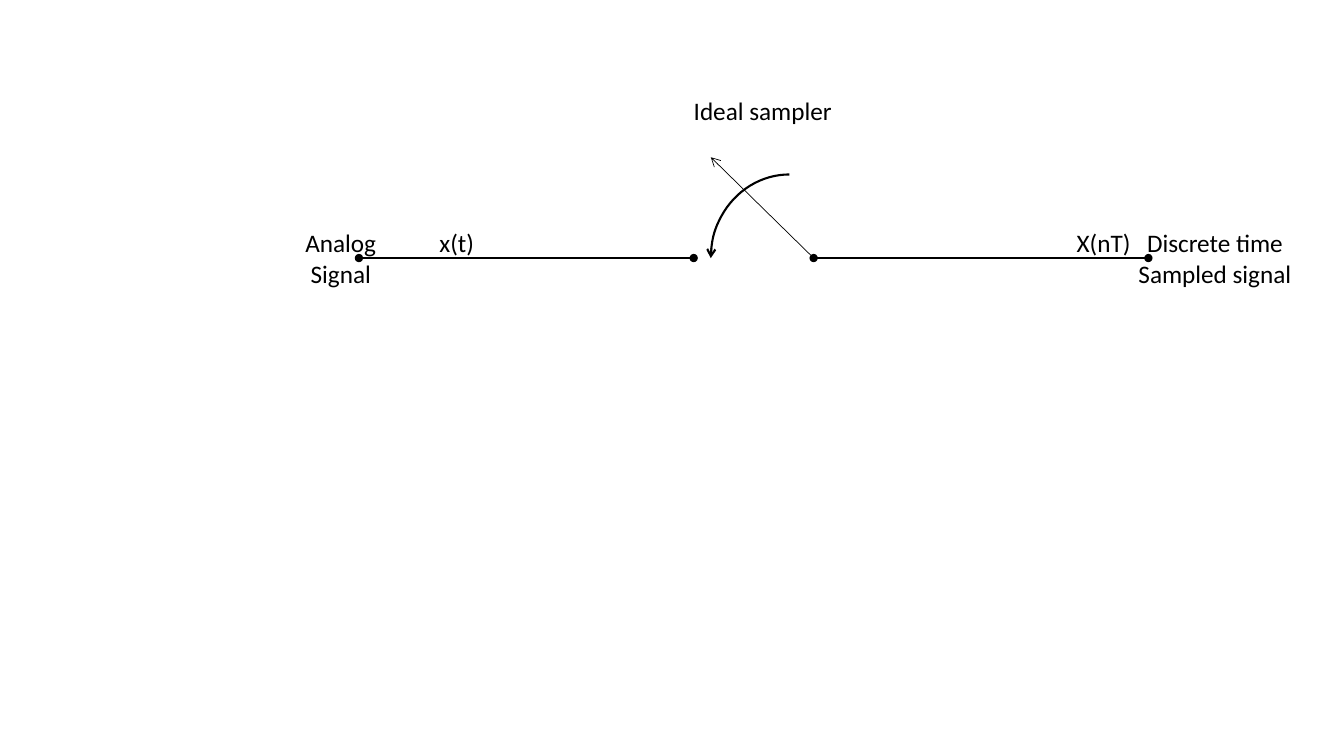
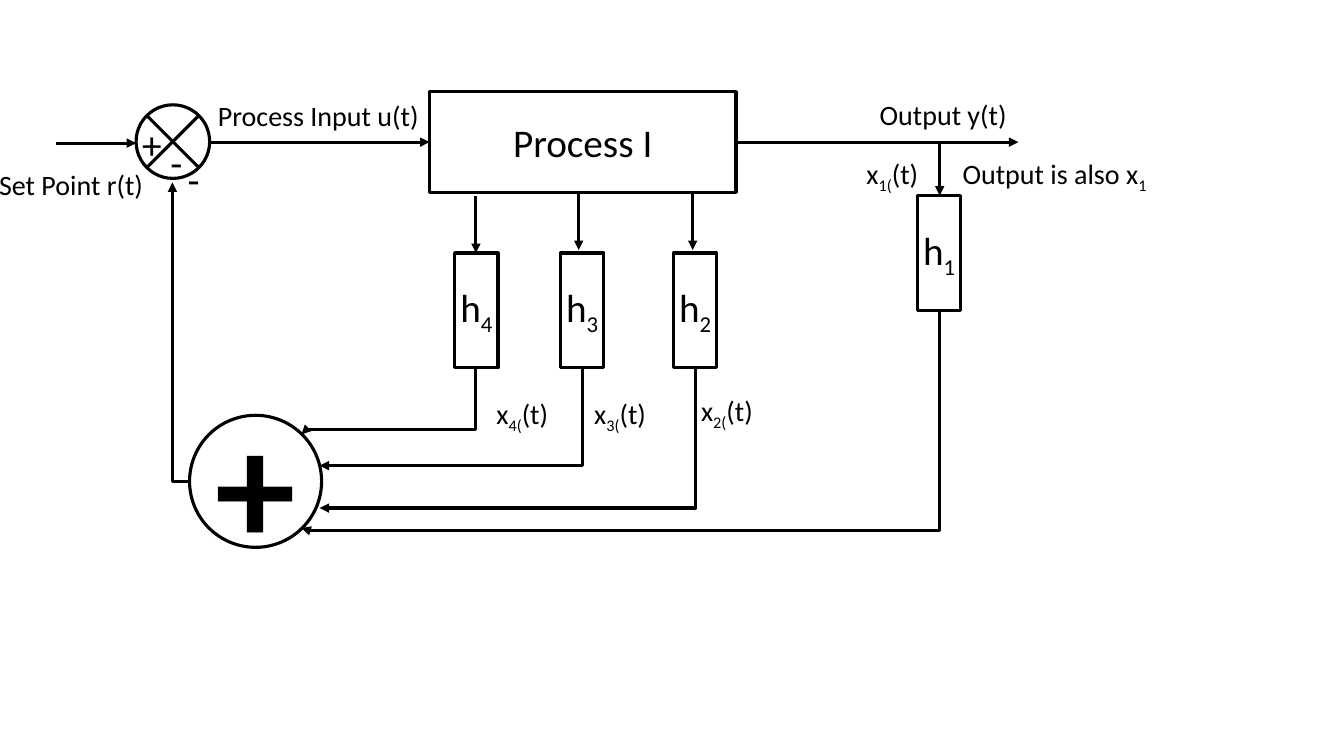
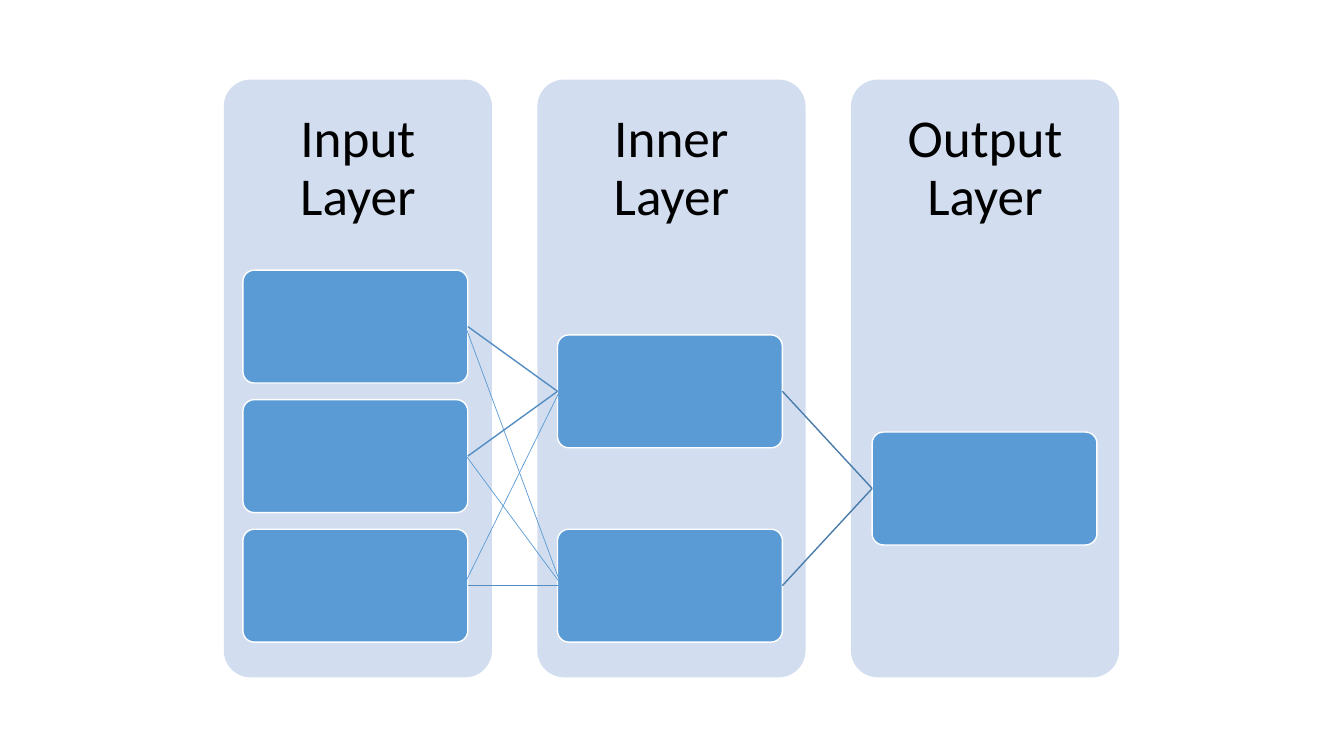
from dataclasses import dataclass

import lxml.etree
import pptx
import pptx.dml.color
import pptx.enum.shapes
import pptx.enum.text
import pptx.oxml.ns
import pptx.util

Inches = pptx.util.Inches
SHAPE = pptx.enum.shapes.MSO_SHAPE
CONNECTOR = pptx.enum.shapes.MSO_CONNECTOR
LEFT = pptx.enum.text.PP_ALIGN.LEFT
CENTER = pptx.enum.text.PP_ALIGN.CENTER
qn = pptx.oxml.ns.qn

FONT = "Calibri"
BLACK, WHITE = "000000", "FFFFFF"
PANEL, NODE = "D2DEEF", "5B9BD5"
WIDE, NARROW = (0.1, 0.05), (0.04, 0.05)  # text insets: sides, top and bottom
FLOW = 2.25  # line width of the block diagram

Point = tuple[float, float]


@dataclass
class Label:
    """Text box; parts between underscores are subscripts."""
    text: str
    x: float
    y: float
    w: float
    h: float = 0.44
    size: float = 20
    align: int = CENTER


@dataclass
class Block:
    """Outlined white shape of the block diagram."""
    kind: int
    x: float
    y: float
    w: float
    h: float
    text: str = ""
    size: float = 28
    bold: bool = False


@dataclass
class Elbow:
    """Bent arrow; turn is its rotation, bend the place of a middle leg."""
    start: Point
    end: Point
    turn: int
    bend: float | None = None


@dataclass
class Layer:
    """Column of network nodes; rows count node pitches from the top."""
    name: str
    rows: list[float]
    link_color: str = ""


def rgb(color: str):
    return pptx.dml.color.RGBColor.from_string(color)


def set_line(sp, color: str, width: float, head: str = "", tail: str = "") -> None:
    sp.line.color.rgb = rgb(color)
    sp.line.width = pptx.util.Pt(width)
    ln = sp.line._get_or_add_ln()
    for tag, kind in (("a:headEnd", head), ("a:tailEnd", tail)):
        if kind:
            lxml.etree.SubElement(ln, qn(tag)).set("type", kind)


def write(tf, text: str, size: float, align=CENTER, insets=NARROW, bold=False) -> None:
    tf.margin_left = tf.margin_right = Inches(insets[0])
    tf.margin_top = tf.margin_bottom = Inches(insets[1])
    for i, line in enumerate(text.split("\n")):
        p = tf.add_paragraph() if i else tf.paragraphs[0]
        p.alignment = align
        p.font.name, p.font.size, p.font.bold = FONT, pptx.util.Pt(size), bold
        p.font.color.rgb = rgb(BLACK)
        for j, part in enumerate(line.split("_")):
            if part:
                r = p.add_run()
                r.text = part
                if j % 2:
                    r._r.get_or_add_rPr().set("baseline", "-25000")


def add_box(s, kind, x: float, y: float, w: float, h: float, fill: str = ""):
    sp = s.shapes.add_shape(kind, Inches(x), Inches(y), Inches(w), Inches(h))
    sp.shadow.inherit = False
    if fill:
        sp.fill.solid()
        sp.fill.fore_color.rgb = rgb(fill)
    else:
        sp.fill.background()
    return sp


def add_label(s, label: Label, insets=NARROW) -> None:
    sp = s.shapes.add_textbox(Inches(label.x), Inches(label.y),
                              Inches(label.w), Inches(label.h))
    sp.text_frame.word_wrap = False
    sp.text_frame.auto_size = pptx.enum.text.MSO_AUTO_SIZE.SHAPE_TO_FIT_TEXT
    write(sp.text_frame, label.text, label.size, label.align, insets)


def add_line(s, start: Point, end: Point, width: float, color: str = BLACK,
             head: str = "", tail: str = "", kind=CONNECTOR.STRAIGHT):
    sp = s.shapes.add_connector(kind, *(Inches(v) for v in (*start, *end)))
    set_line(sp, color, width, head, tail)
    lxml.etree.SubElement(sp._element.spPr, qn("a:effectLst"))
    return sp


def add_elbow(s, elbow: Elbow) -> None:
    (x1, y1), (x2, y2) = elbow.start, elbow.end
    cx, cy = (x1 + x2) / 2, (y1 + y2) / 2
    w, h = abs(x2 - x1), abs(y2 - y1)
    if elbow.turn == 90:  # the frame is stored unrotated
        w, h = h, w
    sp = add_line(s, (cx - w / 2, cy - h / 2), (cx + w / 2, cy + h / 2), FLOW,
                  tail="triangle", kind=CONNECTOR.ELBOW)
    spPr = sp._element.spPr
    spPr.find(qn("a:xfrm")).set("rot", str(elbow.turn * 60000))
    geom = spPr.find(qn("a:prstGeom"))
    if elbow.bend is None:
        geom.set("prst", "bentConnector2")
    else:
        gd = lxml.etree.SubElement(geom.find(qn("a:avLst")), qn("a:gd"))
        gd.set("name", "adj1")
        gd.set("fmla", f"val {round(elbow.bend * 100000)}")


def add_block(s, block: Block) -> None:
    sp = add_box(s, block.kind, block.x, block.y, block.w, block.h, WHITE)
    set_line(sp, BLACK, FLOW)
    if block.text:
        sp.text_frame.vertical_anchor = pptx.enum.text.MSO_ANCHOR.MIDDLE
        write(sp.text_frame, block.text, block.size, bold=block.bold)


def sampler_slide(s) -> None:
    # Switch: closing arc, open arm and the two wires
    arc = add_box(s, SHAPE.ARC, 7, 1.78, 1.66, 1.56)
    arc.rotation = 270
    set_line(arc, BLACK, 1.5, head="arrow")
    wire_y, pivot = 2.56, 8.07
    add_line(s, (pivot, wire_y), (7.05, 1.56), 0.5, tail="arrow")
    for x in (pivot, 3.56):
        add_line(s, (x, wire_y), (x + 3.32, wire_y), 1.5, head="oval", tail="oval")

    # Signal names; "Analog" alone keeps the left edge
    for label in (
        Label("Analog\nSignal", 2.93, 2.21, 0.91, 0.71, 18),
        Label("Discrete time\nSampled signal", 11.18, 2.21, 1.74, 0.71, 18),
        Label("Ideal sampler", 6.77, 0.9, 1.59, 0.4, 18),
        Label("x(t)", 4.26, 2.21, 0.55, 0.4, 18, LEFT),
        Label("X(nT)", 10.58, 2.21, 0.74, 0.4, 18, LEFT),
    ):
        add_label(s, label, WIDE)
    s.shapes[4].text_frame.paragraphs[0].alignment = LEFT


def feedback_slide(s) -> None:
    # Summing points, process and gains
    gains = ((4, 4.51, 2.51), (3, 5.56, 2.51), (2, 6.68, 2.51), (1, 9.1, 1.94))
    blocks = [
        Block(SHAPE.OVAL, 1.88, 4.12, 1.31, 1.31, "+", 115, True),
        Block(SHAPE.FLOWCHART_SUMMING_JUNCTION, 1.35, 1.04, 0.73, 0.73),
        Block(SHAPE.RECTANGLE, 4.26, 0.91, 3.04, 1, "Process I"),
    ]
    blocks += [Block(SHAPE.RECTANGLE, x, y, 0.43, 1.14, f"h_{n}_") for n, x, y in gains]
    for block in blocks:
        add_block(s, block)

    # Straight arrows
    for start, end in (
        ((2.08, 1.41), (4.26, 1.41)),
        ((4.72, 1.94), (4.72, 2.51)),
        ((5.74, 1.91), (5.74, 2.48)),
        ((6.87, 1.91), (6.87, 2.48)),
        ((0.56, 1.42), (1.35, 1.42)),
        ((9.32, 1.41), (10.1, 1.41)),
    ):
        add_line(s, start, end, FLOW, tail="triangle")

    # Bent arrows: output tap, four feedback paths, return to the set point
    for elbow in (
        Elbow((7.3, 1.41), (9.32, 1.94), 0),
        Elbow((4.72, 3.65), (2.99, 4.31), 90, 0.93),
        Elbow((9.32, 3.08), (2.99, 5.24), 90, 1.01),
        Elbow((6.9, 3.65), (3.17, 5.04), 90),
        Elbow((5.78, 3.65), (3.17, 4.62), 90),
        Elbow((1.88, 4.78), (1.71, 1.81), 180),
    ):
        add_elbow(s, elbow)

    # Signs and signal names
    labels = [
        Label("-", 1.65, 1.32, 0.2, 0.57, 28, LEFT),
        Label("+", 1.37, 1.14, 0.28, 0.57, 28, LEFT),
        Label("-", 1.82, 1.49, 0.2, 0.57, 28, LEFT),
        Label("Set Point r(t)", -0.05, 1.61, 1.52, align=LEFT),
        Label("Process Input u(t)", 2.12, 0.93, 2.09, align=LEFT),
        Label("Output y(t)", 8.68, 0.92, 1.35),
        Label("Output is also x_1_", 9.47, 1.5, 1.98),
    ]
    states = ((1, 8.54, 1.5), (2, 6.9, 3.85), (3, 5.84, 3.88), (4, 4.87, 3.88))
    labels += [Label(f"x_{n}(_(t)", x, y, 0.62) for n, x, y in states]
    for label in labels:
        add_label(s, label)


def network_slide(s) -> None:
    layers = [
        Layer("Input Layer", [0, 1, 2], "538DC1"),
        Layer("Inner Layer", [0.5, 2], "497CAB"),
        Layer("Output Layer", [1.25]),
    ]
    node_w, node_h = 2.23, 1.12
    thin_pairs = [(2, 0), (0, 1), (1, 1)]  # input to inner node

    def node_x(col: int) -> float:
        return 2.41 + 3.12 * col

    def node_y(row: float) -> float:
        return 2.68 + 1.285 * row

    def link(col: int, i: int, j: int, width: float, color: str,
             overlap: float = 0, lift: float = 0) -> None:
        y1, y2 = (node_y(row) + node_h / 2 - lift
                  for row in (layers[col].rows[i], layers[col + 1].rows[j]))
        add_line(s, (node_x(col) + node_w - overlap, y1),
                 (node_x(col + 1) + overlap, y2), width, color)

    # Panels with their headings
    for col, layer in enumerate(layers):
        x = 2.22 + 3.11 * col
        panel = add_box(s, SHAPE.ROUNDED_RECTANGLE, x, 0.79, 2.66, 5.93, PANEL)
        panel.adjustments[0] = 0.1
        panel.line.fill.background()
        sp = s.shapes.add_textbox(Inches(x), Inches(0.79), Inches(2.66), Inches(1.78))
        tf = sp.text_frame
        tf.word_wrap = True
        tf.vertical_anchor = pptx.enum.text.MSO_ANCHOR.MIDDLE
        write(tf, layer.name, 38, insets=(0.3, 0.3))
        tf.paragraphs[0].line_spacing = 0.9

    # Nodes
    for col, layer in enumerate(layers):
        for row in layer.rows:
            node = add_box(s, SHAPE.ROUNDED_RECTANGLE, node_x(col), node_y(row),
                           node_w, node_h, NODE)
            node.adjustments[0] = 0.1
            set_line(node, WHITE, 1)

    # Main links, then the thin crossing ones
    for col, layer in enumerate(layers[:-1]):
        for i in range(len(layer.rows)):
            for j in range(len(layers[col + 1].rows)):
                if col or (i, j) not in thin_pairs:
                    link(col, i, j, 1, layer.link_color)
    for i, j in thin_pairs:
        link(0, i, j, 0.5, NODE, overlap=0.03, lift=0.02)


def main() -> None:
    prs = pptx.Presentation()
    prs.slide_width, prs.slide_height = Inches(13.33), Inches(7.5)
    blank = prs.slide_layouts[6]
    for draw in (sampler_slide, feedback_slide, network_slide):
        draw(prs.slides.add_slide(blank))
    prs.save("out.pptx")


if __name__ == "__main__":
    main()
